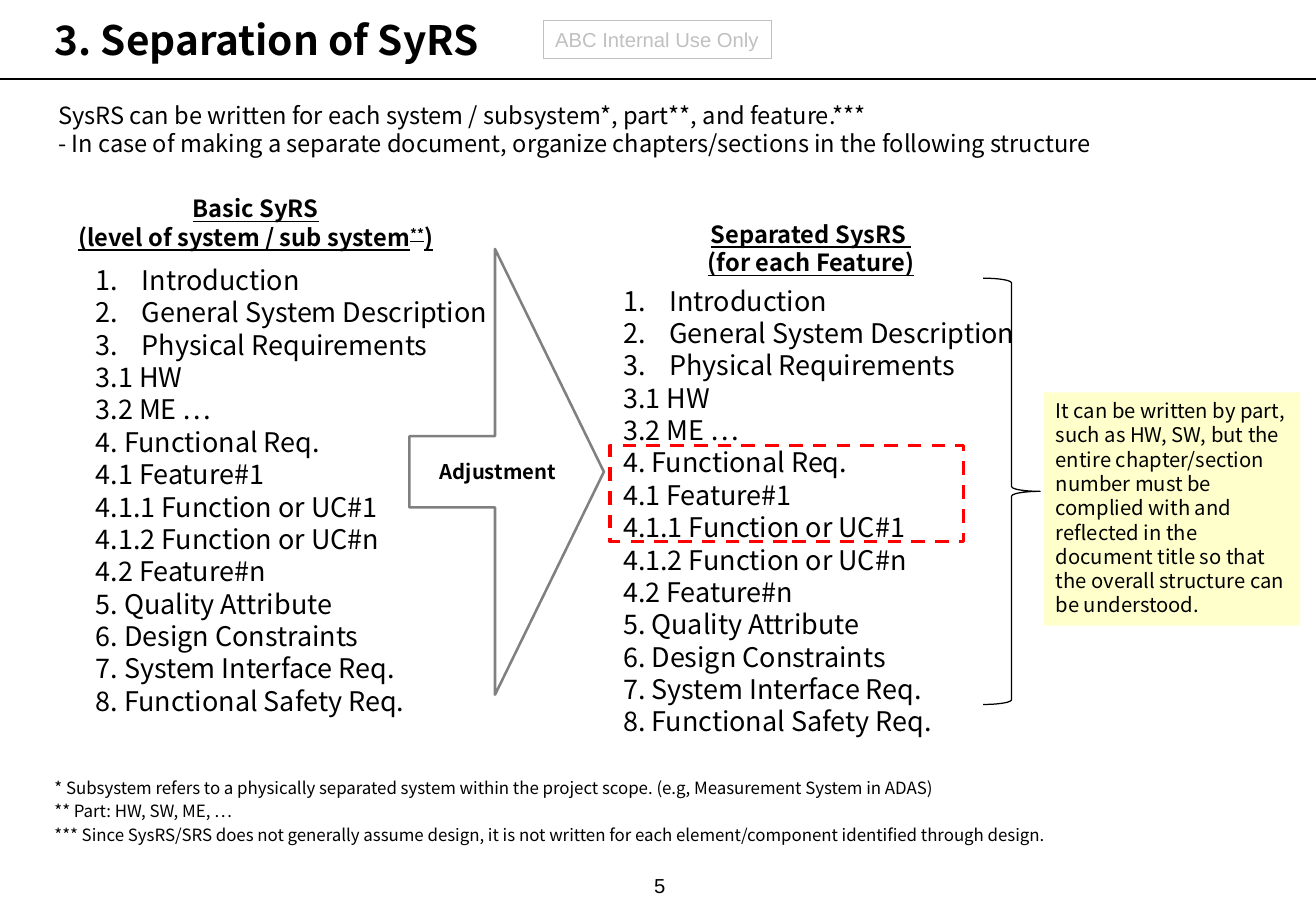
import pptx
import pptx.util
import pptx.dml.color
import pptx.enum.dml
import pptx.enum.shapes
import pptx.enum.text
import pptx.oxml.ns
import lxml.etree

Inches = pptx.util.Inches
Pt = pptx.util.Pt
RGBColor = pptx.dml.color.RGBColor
Shape = pptx.enum.shapes.MSO_SHAPE
Align = pptx.enum.text.PP_ALIGN
Anchor = pptx.enum.text.MSO_ANCHOR
Dash = pptx.enum.dml.MSO_LINE
qn = pptx.oxml.ns.qn

BLACK = RGBColor(0, 0, 0)
WHITE = RGBColor(255, 255, 255)
SILVER = RGBColor(192, 192, 192)
GRAY = RGBColor(128, 128, 128)
RED = RGBColor(255, 0, 0)
CREAM = RGBColor(255, 255, 204)
SANS = "Noto Sans CJK KR"
ARIAL = "Arial"

HEADS = ["Introduction", "General System Description", "Physical Requirements"]
PARTS = [
    "3.1 HW", "3.2 ME …", "4. Functional Req.", "4.1 Feature#1",
    "4.1.1 Function or UC#1", "4.1.2 Function or UC#n", "4.2 Feature#n",
    "5. Quality Attribute", "6. Design Constraints",
    "7. System Interface Req.", "8. Functional Safety Req.",
]
INTRO = [
    "SysRS can be written for each system / subsystem*, part**, and feature.***",
    "- In case of making a separate document, organize chapters/sections "
    "in the following structure",
]
NOTES = [
    "* Subsystem refers to a physically separated system within the project "
    "scope. (e.g, Measurement System in ADAS)",
    "** Part: HW, SW, ME, …",
    "*** Since SysRS/SRS does not generally assume design, it is not written "
    "for each element/component identified through design.",
]
ADVICE = (
    "It can be written by part, such as HW, SW, but the entire chapter/section "
    "number must be complied with and reflected in the document title so that "
    "the overall structure can be understood."
)


class Page:
    def __init__(self, slide):
        self.slide = slide

    def fill(self, shape, paras, size, font=SANS, color=BLACK, bold=False,
             under=False, align=Align.LEFT, anchor=Anchor.TOP, wrap=True, gap=0):
        frame = shape.text_frame
        frame.word_wrap = wrap
        frame.vertical_anchor = anchor
        for i, runs in enumerate(paras):
            para = frame.add_paragraph() if i else frame.paragraphs[0]
            para.alignment = align
            para.space_before = Pt(gap)
            for text in [runs] if isinstance(runs, str) else runs:
                run = para.add_run()
                run.text = text
                run.font.name = font
                run.font.size = Pt(size)
                run.font.bold = bold
                run.font.underline = under
                run.font.color.rgb = color
                if under and text == "**":
                    run._r.get_or_add_rPr().set("baseline", "30000")
        return frame

    def text(self, box, paras, size, **style):
        shape = self.slide.shapes.add_textbox(*map(Inches, box))
        return self.fill(shape, paras, size, **style)

    def shape(self, kind, box, fill=None, line=None, width=0.75, dash=None):
        shape = self.slide.shapes.add_shape(kind, *map(Inches, box))
        shape.shadow.inherit = False
        if fill is None:
            shape.fill.background()
        else:
            shape.fill.solid()
            shape.fill.fore_color.rgb = fill
        if line is None:
            shape.line.fill.background()
        else:
            shape.line.color.rgb = line
            shape.line.width = Pt(width)
            if dash:
                shape.line.dash_style = dash
        return shape

    def rule(self, left, right, top):
        line = self.slide.shapes.add_connector(
            pptx.enum.shapes.MSO_CONNECTOR.STRAIGHT,
            Inches(left), Inches(top), Inches(right), Inches(top))
        line.line.color.rgb = BLACK
        line.line.width = Pt(0.75)
        lxml.etree.SubElement(line._element.spPr, qn("a:effectLst"))

    def outline(self, left, top):
        frame = self.text((left, top, 3.5, 3.87), HEADS + PARTS, 16, wrap=False)
        for para in frame.paragraphs[:len(HEADS)]:
            props = para._p.get_or_add_pPr()
            props.set("marL", str(Inches(0.38)))
            props.set("indent", str(-Inches(0.38)))
            mark = lxml.etree.SubElement(props, qn("a:buAutoNum"))
            mark.set("type", "arabicPeriod")


def main():
    deck = pptx.Presentation()
    deck.slide_width = Inches(10.83)
    deck.slide_height = Inches(7.5)
    page = Page(deck.slides.add_slide(deck.slide_layouts[6]))

    label = page.shape(Shape.RECTANGLE, (4.47, 0.17, 1.88, 0.31), line=SILVER)
    page.fill(label, ["ABC Internal Use Only"], 12, font=ARIAL, color=SILVER,
              anchor=Anchor.MIDDLE, wrap=False)
    page.rule(0, 10.83, 0.65)
    page.text((0.35, 0.08, 9.75, 0.48), ["3. Separation of SyRS"], 24,
              bold=True, anchor=Anchor.MIDDLE)
    page.text((0.38, 0.78, 10.32, 0.69), INTRO, 14)
    page.text((4.99, 7.14, 0.88, 0.24), ["5"], 12, font=ARIAL, align=Align.CENTER)

    head = dict(bold=True, under=True, align=Align.CENTER)
    page.text((0.53, 1.55, 3.15, 0.57),
              ["Basic SyRS", ["(level of system / sub system", "**", ")"]],
              14, wrap=False, **head)
    page.text((5.02, 1.76, 3.31, 0.57),
              ["Separated SysRS ", "(for each Feature)"], 14, **head)
    page.outline(0.69, 2.12)

    arrow = page.shape(Shape.RIGHT_ARROW, (3.37, 2.05, 1.6, 3.67),
                       fill=WHITE, line=GRAY, width=1.5)
    arrow.adjustments[0] = 0.16
    arrow.adjustments[1] = 0.56
    page.fill(arrow, ["Adjustment"], 12, bold=True, align=Align.CENTER,
              anchor=Anchor.MIDDLE)

    page.text((0.35, 6.35, 9.73, 0.79), NOTES, 10, gap=2)
    advice = page.shape(Shape.RECTANGLE, (8.59, 3.23, 2.11, 1.92), fill=CREAM)
    page.fill(advice, [ADVICE], 12)
    page.shape(Shape.RECTANGLE, (5.02, 3.67, 2.91, 0.79), line=RED, width=2,
               dash=Dash.DASH)
    page.outline(5.03, 2.29)
    page.shape(Shape.RIGHT_BRACE, (8.09, 2.29, 0.47, 3.51), line=BLACK)
    deck.save("out.pptx")


if __name__ == "__main__":
    main()
